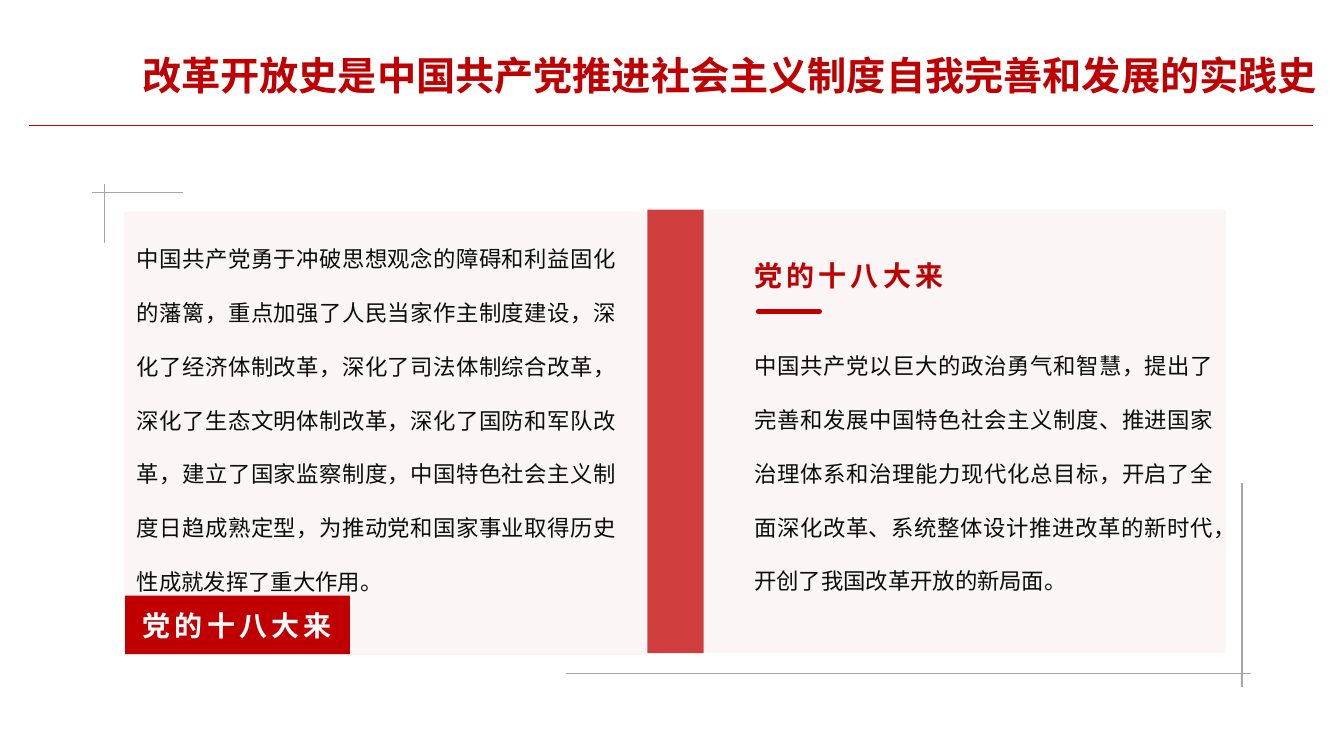
from dataclasses import dataclass

from lxml.etree import SubElement
from pptx import Presentation
from pptx.dml.color import RGBColor
from pptx.enum.shapes import MSO_CONNECTOR as Link, MSO_SHAPE as Preset
from pptx.enum.text import MSO_ANCHOR as Anchor, MSO_AUTO_SIZE as AutoSize, PP_ALIGN as Align
from pptx.oxml.ns import qn
from pptx.util import Emu, Pt

PX = 9144
FONT = "Noto Sans CJK SC"
RED, GRAY, INK, WHITE = "C00000", "A6A6A6", "0D0D0D", "FFFFFF"


@dataclass
class Area:
    left: int
    top: int
    width: int
    height: int


@dataclass
class Panel:
    area: Area
    opacity: int


@dataclass
class Rule:
    start: tuple[int, int]
    end: tuple[int, int]
    color: str = GRAY
    weight: float = 1
    cap: str = "flat"


@dataclass
class Label:
    text: str
    area: Area
    size: int = 16
    color: str = INK
    bold: bool = False
    tracking: int = 0
    spacing: float = 1
    align: Align = Align.LEFT
    anchor: Anchor = Anchor.TOP
    insets: tuple[int, int, int, int] = (0, 0, 0, 0)


HEADING = "党的十八大来"
TITLE = Label("改革开放史是中国共产党推进社会主义制度自我完善和发展的实践史",
              Area(131, 23, 1187, 74), 28, RED, True, spacing=1.5, insets=(10, 5, 0, 5))
PANELS = [
    Panel(Area(123, 210, 518, 440), 4),
    Panel(Area(698, 208, 518, 440), 4),
    Panel(Area(642, 208, 56, 440), 76),
]
RULES = [
    Rule((1302, 124), (29, 124), RED, 0.5),
    Rule((561, 668), (1241, 668)),
    Rule((1232, 479), (1232, 682)),
    Rule((182, 191), (91, 191), weight=0.5),
    Rule((104, 241), (104, 183), weight=0.5),
    Rule((752, 309), (813, 309), RED, 3.25, "rnd"),
]
TAG = Label(HEADING, Area(124, 591, 223, 58), 20, WHITE, True, 3,
            align=Align.CENTER, anchor=Anchor.MIDDLE, insets=(10, 5, 10, 5))
LABELS = [
    Label("中国共产党以巨大的政治勇气和智慧，提出了完善和发展中国特色社会主义制度、"
          "推进国家治理体系和治理能力现代化总目标，开启了全面深化改革、系统整体设计"
          "推进改革的新时代，开创了我国改革开放的新局面。",
          Area(748, 323, 456, 269), spacing=2, align=Align.JUSTIFY),
    Label(HEADING, Area(748, 256, 227, 34), 20, RED, True, 3),
    Label("中国共产党勇于冲破思想观念的障碍和利益固化的藩篱，重点加强了人民当家作主"
          "制度建设，深化了经济体制改革，深化了司法体制综合改革，深化了生态文明体制"
          "改革，深化了国防和军队改革，建立了国家监察制度，中国特色社会主义制度日趋"
          "成熟定型，为推动党和国家事业取得历史性成就发挥了重大作用。",
          Area(126, 212, 495, 387), spacing=2, align=Align.JUSTIFY, insets=(10, 5, 10, 5)),
]


def px(value: int) -> Emu:
    return Emu(value * PX)


def rgb(value: str) -> RGBColor:
    return RGBColor.from_string(value)


def bounds(area: Area) -> tuple[Emu, Emu, Emu, Emu]:
    return px(area.left), px(area.top), px(area.width), px(area.height)


def write(shape, label: Label) -> None:
    frame = shape.text_frame
    frame.text = label.text
    frame.word_wrap = True
    frame.auto_size = AutoSize.NONE
    frame.vertical_anchor = label.anchor
    frame.margin_left, frame.margin_top, frame.margin_right, frame.margin_bottom = map(px, label.insets)
    para = frame.paragraphs[0]
    para.alignment = label.align
    para.line_spacing = label.spacing
    span = para.runs[0]
    span.font.name = FONT
    span.font.size = Pt(label.size)
    span.font.bold = label.bold
    span.font.color.rgb = rgb(label.color)
    props = span.font._element
    props.set("spc", str(label.tracking * 100))
    SubElement(props, qn("a:ea")).set("typeface", FONT)


def add_box(page, area: Area, opacity: int = 100):
    box = page.shapes.add_shape(Preset.RECTANGLE, *bounds(area))
    box.shadow.inherit = False
    box.line.fill.background()
    box.fill.solid()
    box.fill.fore_color.rgb = rgb(RED)
    if opacity < 100:
        color = box._element.spPr.find(f".//{qn('a:srgbClr')}")
        SubElement(color, qn("a:alpha")).set("val", str(opacity * 1000))
    return box


def add_rule(page, rule: Rule) -> None:
    line = page.shapes.add_connector(Link.STRAIGHT, *map(px, rule.start + rule.end))
    line.line.color.rgb = rgb(rule.color)
    line.line.width = Pt(rule.weight)
    line.line._ln.set("cap", rule.cap)
    SubElement(line._element.spPr, qn("a:effectLst"))


def main() -> None:
    """Build the slide and save it."""
    deck = Presentation()
    deck.slide_width, deck.slide_height = px(1333), px(750)
    page = deck.slides.add_slide(deck.slide_layouts[5])
    title = page.shapes.title
    title.left, title.top, title.width, title.height = bounds(TITLE.area)
    write(title, TITLE)
    for panel in PANELS:
        add_box(page, panel.area, panel.opacity)
    for rule in RULES:
        add_rule(page, rule)
    write(add_box(page, TAG.area), TAG)
    for label in LABELS:
        write(page.shapes.add_textbox(*bounds(label.area)), label)
    deck.save("out.pptx")


if __name__ == "__main__":
    main()
